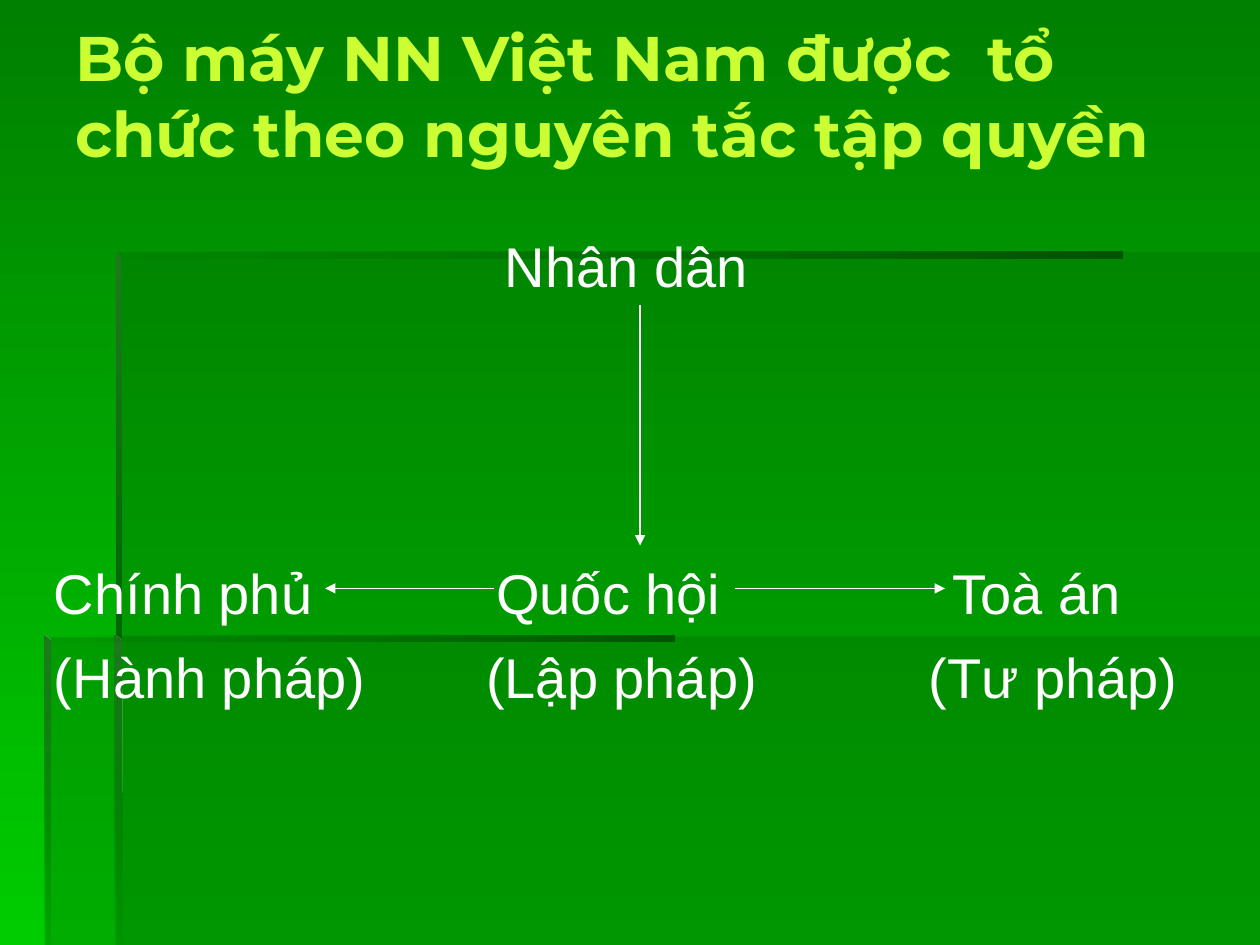
import pptx
import pptx.dml.color
import pptx.enum.shapes
import pptx.enum.text
import pptx.oxml.ns
import pptx.util
from lxml import etree
from pptx.util import Inches, Pt

TITLE = "Bộ máy NN Việt Nam được  tổ chức theo nguyên tắc tập quyền"
# text, space before (pt), tab stops (inches from the text edge)
BODY = [
    ("\tNhân dân", 0, [3.58]),
    ("Chính phủ\tQuốc hội\tToà án", 148.3, [3.51, 7.13]),
    ("(Hành pháp)\t(Lập pháp)\t(Tư pháp)", 9.5, [3.43, 6.94]),
]
# start, end, has arrowhead
ARROWS = [
    ((5.08, 2.42), (5.08, 3.17), False),
    ((5.08, 3.17), (5.08, 4.33), True),
    ((3.92, 4.67), (2.58, 4.67), True),
    ((5.83, 4.67), (7.5, 4.67), True),
]
# Fill stops are (colour, opacity %)
VEIL = [("006600", 30)]
FADE_IN = [("006600", 0), ("005400", 100)]
DOWN, ACROSS = 270, 0
# outline, fill stops, gradient angle
PANELS = [
    ([(0.92, 5.05), (0.92, 7.5), (10, 7.5), (10, 5.05)], VEIL, None),
    ([(0.94, 5.06), (0.36, 5.06), (0.36, 7.5), (10, 7.5), (10, 2), (0.94, 2)], VEIL, None),
    ([(0.92, 2), (0.92, 2.05), (8.91, 2.05), (8.91, 2)], FADE_IN, ACROSS),
    ([(0.92, 2), (0.92, 5.1), (0.97, 5.1), (0.96, 2.04)],
     [("1F791F", 100), ("006600", 100)], DOWN),
    ([(0.91, 7.5), (0.97, 7.5), (0.96, 5.08), (0.91, 5.04)],
     [("1F791F", 100), ("006600", 0)], DOWN),
    ([(0.35, 5.04), (0.35, 5.09), (5.35, 5.09), (5.35, 5.04)], FADE_IN, ACROSS),
    ([(0.35, 5.04), (0.35, 7.5), (0.4, 7.5), (0.4, 5.09)],
     [("1F791F", 100), ("006600", 10)], DOWN),
]


def rgb(value):
    return pptx.dml.color.RGBColor.from_string(value)


def add_element(parent, tag, **attrs):
    return etree.SubElement(parent, pptx.oxml.ns.qn(tag), attrs)


def set_fill(fill, stops, angle=None):
    """Solid fill for one stop, linear gradient for two."""
    if len(stops) == 1:
        fill.solid()
        colors = [fill.fore_color]
    else:
        fill.gradient()
        fill.gradient_angle = angle
        colors = [stop.color for stop in fill.gradient_stops]
    for color, (value, _) in zip(colors, stops):
        color.rgb = rgb(value)
    clrs = fill._xPr.iter(pptx.oxml.ns.qn("a:srgbClr"))
    for clr, (_, opacity) in zip(list(clrs), stops):
        if opacity < 100:
            add_element(clr, "a:alpha", val=str(opacity * 1000))


def add_panel(slide, outline, stops, angle):
    points = [(Inches(x), Inches(y)) for x, y in outline]
    builder = slide.shapes.build_freeform(*points[0], scale=1.0)
    builder.add_line_segments(points[1:], close=True)
    sp = builder.convert_to_shape()
    sp.shadow.inherit = False
    sp.line.fill.background()
    set_fill(sp.fill, stops, angle)


def add_arrow(slide, start, end, has_head):
    line = slide.shapes.add_connector(
        pptx.enum.shapes.MSO_CONNECTOR.STRAIGHT,
        *[Inches(v) for v in start + end])
    line.line.color.rgb = rgb("FFFFFF")
    line.line.width = Pt(0.75)
    if has_head:
        add_element(line.line._get_or_add_ln(), "a:tailEnd", type="triangle")
    add_element(line._element.spPr, "a:effectLst")


def add_text(slide, box, paragraphs, font, size, color, bold=False):
    tf = slide.shapes.add_textbox(*[Inches(v) for v in box]).text_frame
    tf.word_wrap = True
    tf.vertical_anchor = pptx.enum.text.MSO_ANCHOR.TOP
    for i, (text, before, tabs) in enumerate(paragraphs):
        p = tf.paragraphs[0] if i == 0 else tf.add_paragraph()
        if before:
            p.space_before = Pt(before)
        if tabs:
            tab_list = add_element(p._p.get_or_add_pPr(), "a:tabLst")
            for pos in tabs:
                add_element(tab_list, "a:tab", pos=str(Inches(pos)), algn="l")
        r = p.add_run()
        r.text = text
        r.font.name = font
        r.font.size = Pt(size)
        r.font.bold = bold
        r.font.color.rgb = rgb(color)


def main():
    prs = pptx.Presentation()
    prs.slide_width, prs.slide_height = Inches(10), Inches(7.5)
    slide = prs.slides.add_slide(prs.slide_layouts[6])
    set_fill(slide.background.fill, [("008000", 100), ("00CC00", 100)], DOWN)
    for panel in PANELS:
        add_panel(slide, *panel)
    add_text(slide, (0.5, 0.1, 9.17, 1.57), [(TITLE, 0, [])],
             "Montserrat", 36, "CCFF33", bold=True)
    add_text(slide, (0.33, 1.79, 9.34, 5.46), BODY, "Arial", 32, "FFFFFF")
    for arrow in ARROWS:
        add_arrow(slide, *arrow)
    prs.save("out.pptx")


if __name__ == "__main__":
    main()
